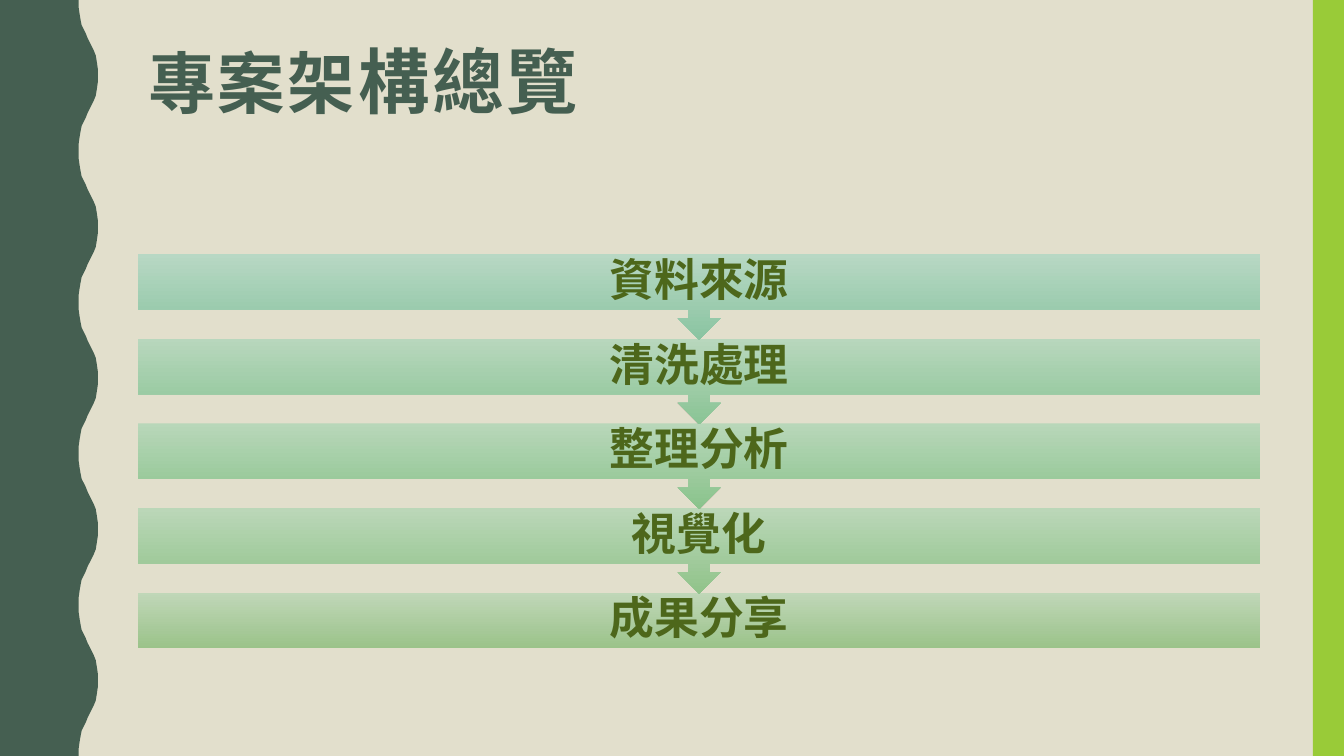
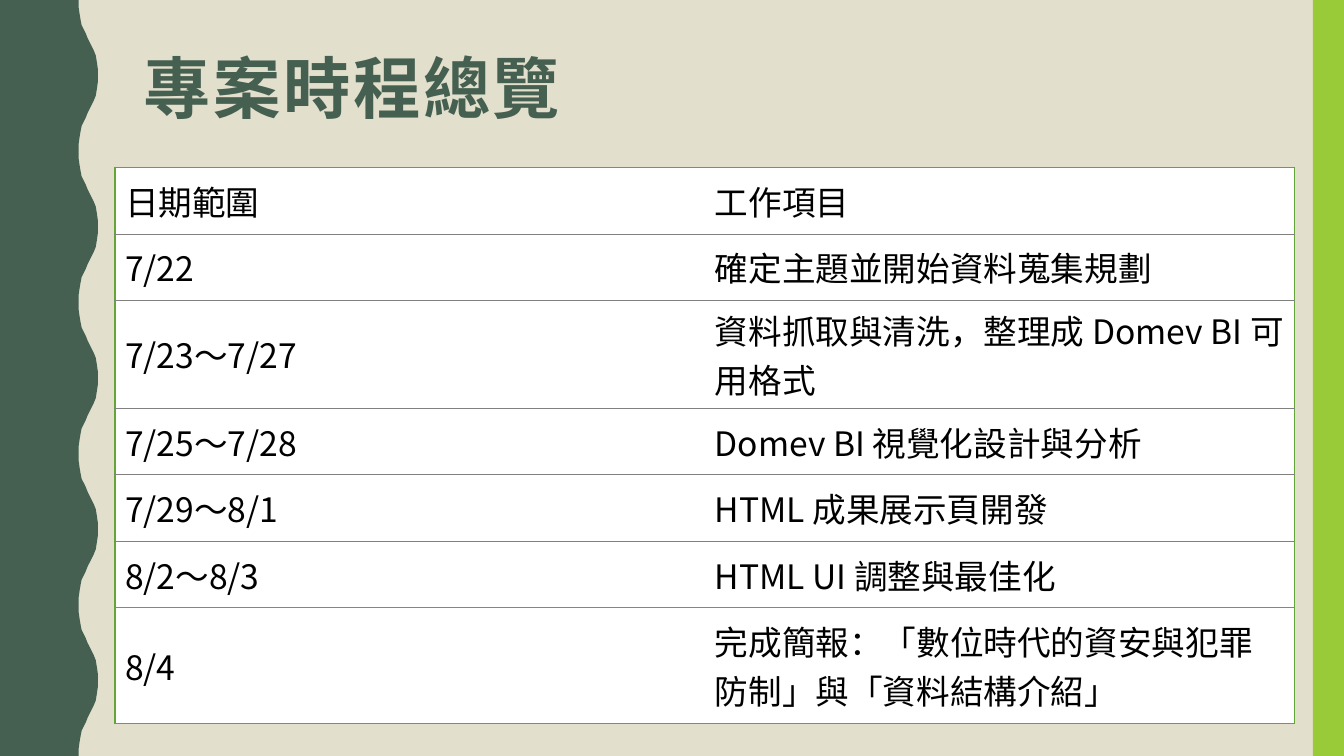
from lxml.etree import SubElement
from pptx import Presentation
from pptx.dml.color import RGBColor
from pptx.enum.shapes import MSO_SHAPE
from pptx.enum.text import MSO_ANCHOR, PP_ALIGN
from pptx.oxml.ns import qn
from pptx.util import Inches, Pt

FONT = "Noto Sans CJK SC"
SAND, FOREST, LIME = "E2DFCC", "455F51", "99CB38"
OLIVE, LEAF, GRAY, WHITE, BLACK = "4D671B", "63A537", "808080", "FFFFFF", "000000"

WAVE_RISE = [
    (0.78, 0), (0.78, 0.07), (0.79, 0.14), (0.8, 0.2), (0.81, 0.25),
    (0.83, 0.29), (0.85, 0.33), (0.87, 0.38), (0.89, 0.42), (0.91, 0.46),
    (0.93, 0.5), (0.95, 0.55), (0.96, 0.61), (0.97, 0.68), (0.97, 0.75),
]
WAVE_LENGTH, WAVE_COUNT = 1.5, 5

STEPS = [
    ("資料來源", "B8D8C4", "8AC4A1"),
    ("清洗處理", "B8D7BD", "8AC495"),
    ("整理分析", "B8D7B9", "8AC38C"),
    ("視覺化", "BBD7B8", "90C38A"),
    ("成果分享", "C0D7B8", "9BC38A"),
]
STEP_LEFT, STEP_TOP, STEP_WIDTH, STEP_PITCH = 1.37, 2.52, 11.13, 0.84
CALLOUT_HEIGHT, LAST_HEIGHT = 0.85, 0.55

SCHEDULE = [
    ("日期範圍", "工作項目", 0.66),
    ("7/22", "確定主題並開始資料蒐集規劃", 0.66),
    ("7/23～7/27", "資料抓取與清洗，整理成 Domev BI 可用格式", 1.07),
    ("7/25～7/28", "Domev BI 視覺化設計與分析", 0.66),
    ("7/29～8/1", "HTML 成果展示頁開發", 0.66),
    ("8/2～8/3", "HTML UI 調整與最佳化", 0.66),
    ("8/4", "完成簡報：「數位時代的資安與犯罪防制」與「資料結構介紹」", 1.15),
]


def color(value):
    return RGBColor.from_string(value)


def add_run(para, text, size, ink, bold=False, spacing=0):
    span = para.add_run()
    span.text = text
    span.font.size = Pt(size)
    span.font.bold = bold
    span.font.name = FONT
    span.font.color.rgb = color(ink)
    properties = span.font._element
    SubElement(properties, qn("a:ea")).set("typeface", FONT)
    if spacing:
        properties.set("spc", str(spacing * 100))


def paint(shape, fill):
    shape.shadow.inherit = False
    shape.fill.solid()
    shape.fill.fore_color.rgb = color(fill)
    shape.line.fill.background()


def add_page(deck):
    page = deck.slides.add_slide(deck.slide_layouts[6])
    half = WAVE_RISE + [(x, WAVE_LENGTH - y) for x, y in WAVE_RISE[-2::-1]]
    edge = [(x, y + i * WAVE_LENGTH) for i in range(WAVE_COUNT) for x, y in half]
    points = [(Inches(x), Inches(y)) for x, y in edge + [(0, 7.5)]]
    builder = page.shapes.build_freeform(0, 0)
    builder.add_line_segments(points, close=True)
    paint(builder.convert_to_shape(), FOREST)
    band = page.shapes.add_shape(
        MSO_SHAPE.RECTANGLE, Inches(13.02), 0, Inches(0.31), Inches(7.5))
    paint(band, LIME)
    return page


def add_title(page, place, parts, inset=0.1):
    box = page.shapes.add_textbox(*map(Inches, place))
    frame = box.text_frame
    frame.word_wrap = True
    frame.margin_left = Inches(inset)
    para = frame.paragraphs[0]
    para.line_spacing = 0.9
    for text, size in parts:
        add_run(para, text, size, FOREST, bold=True, spacing=2)


def add_step(page, index):
    text, light, dark = STEPS[index]
    last = index == len(STEPS) - 1
    step = page.shapes.add_shape(
        MSO_SHAPE.RECTANGLE if last else MSO_SHAPE.DOWN_ARROW_CALLOUT,
        Inches(STEP_LEFT), Inches(STEP_TOP + index * STEP_PITCH),
        Inches(STEP_WIDTH), Inches(LAST_HEIGHT if last else CALLOUT_HEIGHT))
    step.shadow.inherit = False
    step.line.fill.background()
    step.fill.gradient()
    step.fill.gradient_angle = 270
    for stop, shade, position in zip(step.fill.gradient_stops, (light, dark), (0, 1)):
        stop.color.rgb = color(shade)
        stop.position = position
    frame = step.text_frame
    frame.margin_top = frame.margin_bottom = 0
    frame.vertical_anchor = MSO_ANCHOR.MIDDLE
    para = frame.paragraphs[0]
    para.alignment = PP_ALIGN.CENTER
    para.line_spacing = 0.9
    add_run(para, text, 32, OLIVE, bold=True)


def set_border(cell, side, ink, width):
    line = SubElement(cell._tc.get_or_add_tcPr(), qn(f"a:ln{side}"), w=str(Pt(width)))
    if ink is None:
        SubElement(line, qn("a:noFill"))
    else:
        fill = SubElement(line, qn("a:solidFill"))
        SubElement(fill, qn("a:srgbClr"), val=ink)


def add_schedule(page):
    count = len(SCHEDULE)
    height = sum(row[2] for row in SCHEDULE)
    table = page.shapes.add_table(
        count, 2, Inches(1.14), Inches(1.66), Inches(11.7), Inches(height)).table
    table.first_row = table.horz_banding = False
    outer, inner, none = (LEAF, 1), (GRAY, 0.5), (None, 0)
    rules = [outer] + [inner] * (count - 2) + [outer] * 2
    for r, (dates, task, row_height) in enumerate(SCHEDULE):
        table.rows[r].height = Inches(row_height)
        for c, text in enumerate((dates, task)):
            cell = table.cell(r, c)
            sides = (none, outer) if c else (outer, none)
            for side, rule in zip("LRTB", (*sides, rules[r], rules[r + 1])):
                set_border(cell, side, *rule)
            cell.fill.solid()
            cell.fill.fore_color.rgb = color(WHITE)
            cell.vertical_anchor = MSO_ANCHOR.MIDDLE
            add_run(cell.text_frame.paragraphs[0], text, 24, BLACK)


def main():
    deck = Presentation()
    deck.slide_width, deck.slide_height = Inches(13.33), Inches(7.5)
    background = deck.slide_master.background.fill
    background.solid()
    background.fore_color.rgb = color(SAND)

    overview = add_page(deck)
    add_title(overview, (1.37, 0.42, 11.13, 1.63), [("專案架", 48), ("構總覽", 51)])
    for index in reversed(range(len(STEPS))):
        add_step(overview, index)

    timeline = add_page(deck)
    add_title(timeline, (1.14, 0.5, 11.18, 1.04), [("專案時程總覽", 48)], inset=0.28)
    add_schedule(timeline)

    deck.save("out.pptx")


if __name__ == "__main__":
    main()
